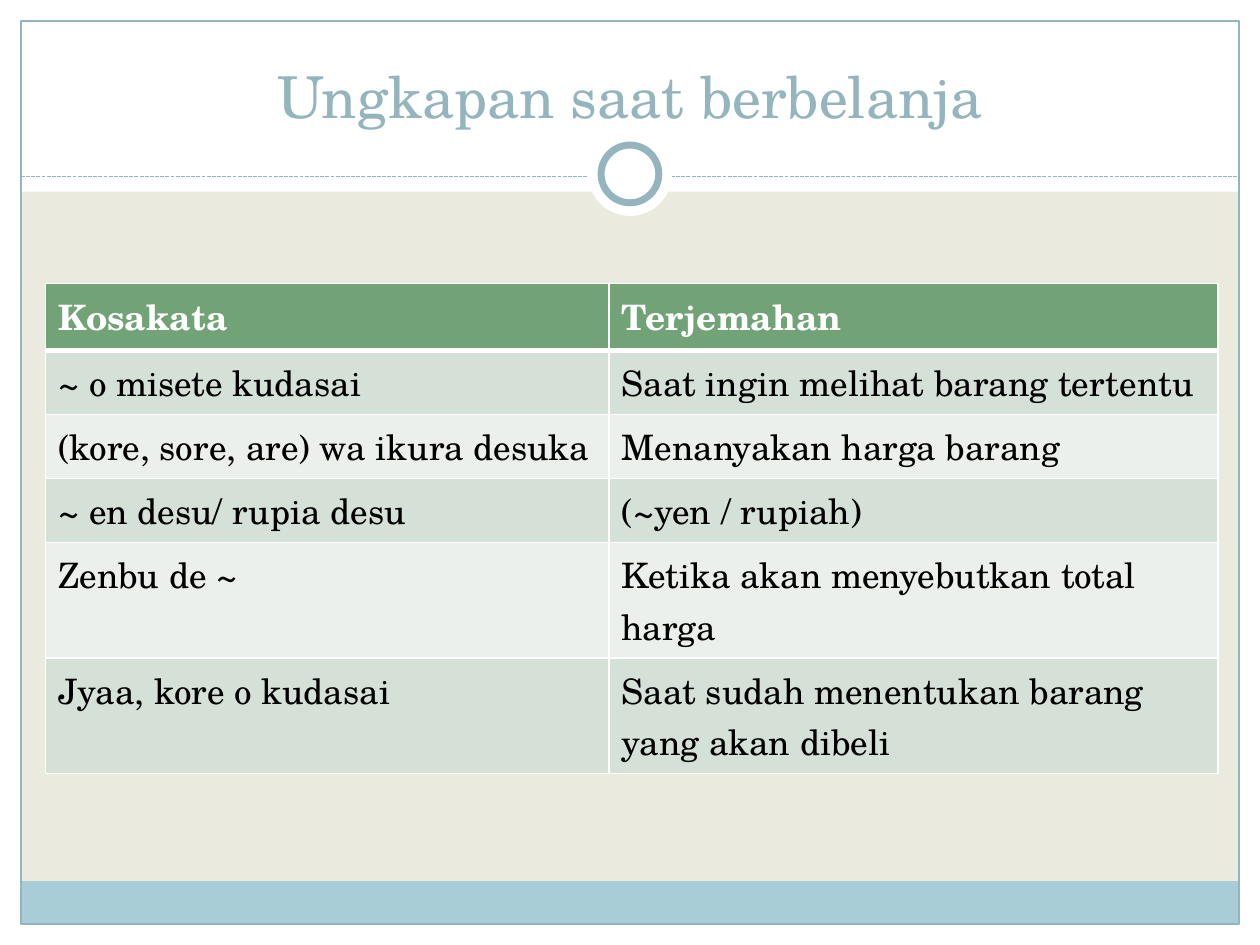
from lxml.etree import SubElement
from pptx import Presentation
from pptx.dml.color import RGBColor
from pptx.enum.dml import MSO_LINE
from pptx.enum.shapes import MSO_CONNECTOR, MSO_SHAPE
from pptx.enum.text import MSO_ANCHOR, PP_ALIGN
from pptx.oxml.ns import qn
from pptx.util import Pt

TITLE = "Ungkapan saat berbelanja"
ROWS = [
    ("Kosakata", "Terjemahan"),
    ("~ o misete kudasai", "Saat ingin melihat barang tertentu"),
    ("(kore, sore, are) wa ikura desuka", "Menanyakan harga barang"),
    ("~ en desu/ rupia desu", "(~yen / rupiah)"),
    ("Zenbu de ~", "Ketika akan menyebutkan total harga"),
    ("Jyaa, kore o kudasai", "Saat sudah menentukan barang yang akan dibeli"),
]
FONT = "TeX Gyre Schola"
WHITE, BLACK, TEAL, SKY, SAND = "FFFFFF", "000000", "94B5BE", "A8CDD7", "EAEBDE"
HEADER, BANDS = "72A376", ("D5E0D6", "EBF0EC")
W, H, MARGIN = 720, 540, 12
HEADER_H, RULE_Y, FOOTER_H = 109.5, 100.8, 24.5
RING_Y = 99.4
TABLE_X, TABLE_Y, COLS, ROW_H = 26, 162, (322, 348), 29.2


def color(value):
    return RGBColor.from_string(value)


def add_shape(kind, x, y, w, h, fill=None, line=None, weight=0.75):
    sp = s.shapes.add_shape(kind, Pt(x), Pt(y), Pt(w), Pt(h))
    sp.shadow.inherit = False
    if fill:
        sp.fill.solid()
        sp.fill.fore_color.rgb = color(fill)
    else:
        sp.fill.background()
    if line:
        sp.line.color.rgb = color(line)
        sp.line.width = Pt(weight)
    else:
        sp.line.fill.background()


def add_circle(diameter, **style):
    add_shape(MSO_SHAPE.OVAL, (W - diameter) / 2, RING_Y - diameter / 2,
              diameter, diameter, **style)


def add_text(p, text, size, value, bold=False):
    r = p.add_run()
    r.text = text
    r.font.name = FONT
    r.font.size = Pt(size)
    r.font.bold = bold
    r.font.color.rgb = color(value)


def set_borders(cell, widths):
    tc_pr = cell._tc.get_or_add_tcPr()
    for i, (side, width) in enumerate(widths.items()):
        ln = tc_pr.makeelement(qn(f"a:ln{side}"), {"w": str(Pt(width))})
        fill = SubElement(ln, qn("a:solidFill"))
        SubElement(fill, qn("a:srgbClr"), val=WHITE)
        tc_pr.insert(i, ln)


prs = Presentation()
prs.slide_width, prs.slide_height = Pt(W), Pt(H)
s = prs.slides.add_slide(prs.slide_layouts[5])
s.background.fill.solid()
s.background.fill.fore_color.rgb = color(SAND)

inner_w, inner_h = W - 2 * MARGIN, H - 2 * MARGIN
for x, y, w, h, fill in [
    (0, H - MARGIN, W, MARGIN, WHITE),
    (0, 0, W, HEADER_H, WHITE),
    (0, 0, MARGIN, H, WHITE),
    (W - MARGIN, 0, MARGIN, H, WHITE),
    (MARGIN, H - MARGIN - FOOTER_H, inner_w, FOOTER_H, SKY),
]:
    add_shape(MSO_SHAPE.RECTANGLE, x, y, w, h, fill)
add_shape(MSO_SHAPE.RECTANGLE, MARGIN, MARGIN, inner_w, inner_h, line=TEAL)

rule = s.shapes.add_connector(MSO_CONNECTOR.STRAIGHT, Pt(MARGIN), Pt(RULE_Y),
                              Pt(W - MARGIN), Pt(RULE_Y))
rule.line.color.rgb = color(TEAL)
rule.line.width = Pt(0.75)
rule.line.dash_style = MSO_LINE.SQUARE_DOT
SubElement(rule._element.spPr, qn("a:effectLst"))

add_circle(48, fill=WHITE)
add_circle(33, fill=WHITE, line=TEAL, weight=4)

title = s.shapes.title
s.shapes._spTree.append(title._element)
title.left, title.top, title.width, title.height = Pt(24), Pt(18), Pt(672), Pt(60)
tf = title.text_frame
tf.word_wrap = True
tf.vertical_anchor = MSO_ANCHOR.BOTTOM
tf.paragraphs[0].alignment = PP_ALIGN.CENTER
add_text(tf.paragraphs[0], TITLE, 33, TEAL)

table = s.shapes.add_table(len(ROWS), len(COLS), Pt(TABLE_X), Pt(TABLE_Y),
                           Pt(sum(COLS)), Pt(ROW_H * len(ROWS))).table
for column, width in zip(table.columns, COLS):
    column.width = Pt(width)
for i, row in enumerate(ROWS):
    table.rows[i].height = Pt(ROW_H)
    head = i == 0
    for j, text in enumerate(row):
        cell = table.cell(i, j)
        cell.fill.solid()
        cell.fill.fore_color.rgb = color(HEADER if head else BANDS[(i - 1) % 2])
        set_borders(cell, {"L": 1, "R": 1, "T": 3 if i == 1 else 1, "B": 3 if head else 1})
        add_text(cell.text_frame.paragraphs[0], text, 20, WHITE if head else BLACK, head)

prs.save("out.pptx")
